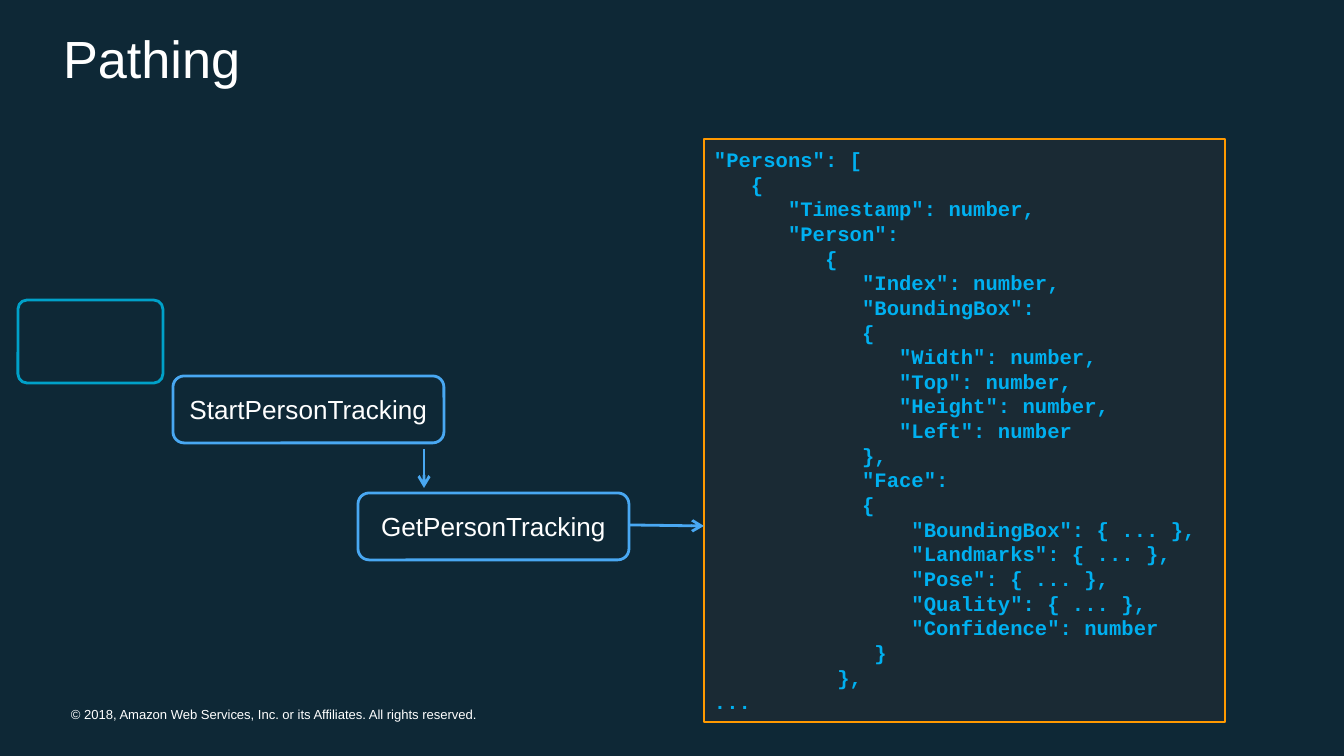
"""Build the Pathing slide: two tracking calls and the reply they return."""
from dataclasses import dataclass

from lxml.etree import SubElement
from pptx import Presentation
from pptx.dml.color import RGBColor
from pptx.enum.shapes import MSO_CONNECTOR, MSO_SHAPE
from pptx.enum.text import MSO_ANCHOR, PP_ALIGN
from pptx.oxml.ns import qn
from pptx.util import Pt

TITLE = "Pathing"
LEGAL = "© 2018, Amazon Web Services, Inc. or its Affiliates. All rights reserved."
CODE = """\
"Persons": [
   {
      "Timestamp": number,
      "Person":
         {
            "Index": number,
            "BoundingBox":
            {
               "Width": number,
               "Top": number,
               "Height": number,
               "Left": number
            },
            "Face":
            {
                "BoundingBox": { ... },
                "Landmarks": { ... },
                "Pose": { ... },
                "Quality": { ... },
                "Confidence": number
             }
          },
..."""
STEPS = [("StartPersonTracking", 173, 376), ("GetPersonTracking", 358, 493)]
STEP_SIZE = (271, 67)
ARROWS = [(424, 449, 424, 488), (629, 525, 704, 526)]
FRAME = (18, 300, 145, 83)
PANEL = (704, 139, 521, 583)


@dataclass(frozen=True)
class Theme:
    back: str = "0E2836"
    panel: str = "2A2D32"
    edge: str = "FF9900"
    teal: str = "00A1C9"
    blue: str = "49A8F2"
    code: str = "00B0F0"
    text: str = "FFFFFF"
    sans: str = "Arial"
    mono: str = "Courier New"
    head: float = 28
    label: float = 14
    small: float = 11
    tiny: float = 7
    lead: float = 13.2


LOOK = Theme()
WIDE, HIGH = 1344, 756
SCALE = 9144000 / WIDE


def px(*nums):
    return [round(num * SCALE) for num in nums]


def rgb(code):
    return RGBColor.from_string(code)


def write(shape, text, size=LOOK.label, face=LOOK.sans, color=LOOK.text, bold=False,
          align=PP_ALIGN.LEFT, anchor=MSO_ANCHOR.MIDDLE, inset=(10, 6), lead=None):
    frame = shape.text_frame
    frame.word_wrap = True
    frame.vertical_anchor = anchor
    frame.margin_left = frame.margin_right = px(inset[0])[0]
    frame.margin_top = frame.margin_bottom = px(inset[1])[0]
    frame.text = text
    for para in frame.paragraphs:
        para.alignment = align
        if lead:
            para.line_spacing = Pt(lead)
        for run in para.runs:
            font = run.font
            font.name, font.size, font.bold = face, Pt(size), bold
            font.color.rgb = rgb(color)


def add_box(slide, kind, place, edge, width, fill=None, alpha=None):
    box = slide.shapes.add_shape(kind, *px(*place))
    box.shadow.inherit = False
    box.line.color.rgb, box.line.width = rgb(edge), Pt(width)
    if fill:
        box.fill.solid()
        box.fill.fore_color.rgb = rgb(fill)
        tint = box.fill._xPr.find(".//" + qn("a:srgbClr"))
        SubElement(tint, qn("a:alpha"), val=str(alpha * 1000))
    else:
        box.fill.background()
    return box


def add_arrow(slide, ends):
    link = slide.shapes.add_connector(MSO_CONNECTOR.STRAIGHT, *px(*ends))
    link.line.color.rgb, link.line.width = rgb(LOOK.blue), Pt(1.5)
    SubElement(link.line._get_or_add_ln(), qn("a:tailEnd"), type="arrow")
    SubElement(link._element.spPr, qn("a:effectLst"))


def main():
    deck = Presentation()
    deck.slide_width, deck.slide_height = px(WIDE, HIGH)
    slide = deck.slides.add_slide(deck.slide_layouts[5])
    slide.background.fill.solid()
    slide.background.fill.fore_color.rgb = rgb(LOOK.back)

    title = slide.shapes.title
    title.left, title.top, title.width, title.height = px(50, 17, 1206, 81)
    write(title, TITLE, size=LOOK.head, inset=(13, 6))
    legal = slide.shapes.add_textbox(*px(71, 706, 445, 16))
    write(legal, LEGAL, size=LOOK.tiny, anchor=MSO_ANCHOR.TOP, inset=(0, 0))

    panel = add_box(slide, MSO_SHAPE.RECTANGLE, PANEL, LOOK.edge, 0.75, LOOK.panel, 46)
    write(panel, CODE, size=LOOK.small, face=LOOK.mono, color=LOOK.code,
          bold=True, lead=LOOK.lead)

    frame = add_box(slide, MSO_SHAPE.ROUNDED_RECTANGLE, FRAME, LOOK.teal, 1.5)
    frame.adjustments[0] = 0.11
    for name, left, top in STEPS:
        step = add_box(slide, MSO_SHAPE.ROUNDED_RECTANGLE,
                       (left, top, *STEP_SIZE), LOOK.blue, 1.5)
        write(step, name, align=PP_ALIGN.CENTER)
    for ends in ARROWS:
        add_arrow(slide, ends)
    deck.save("out.pptx")


if __name__ == "__main__":
    main()
